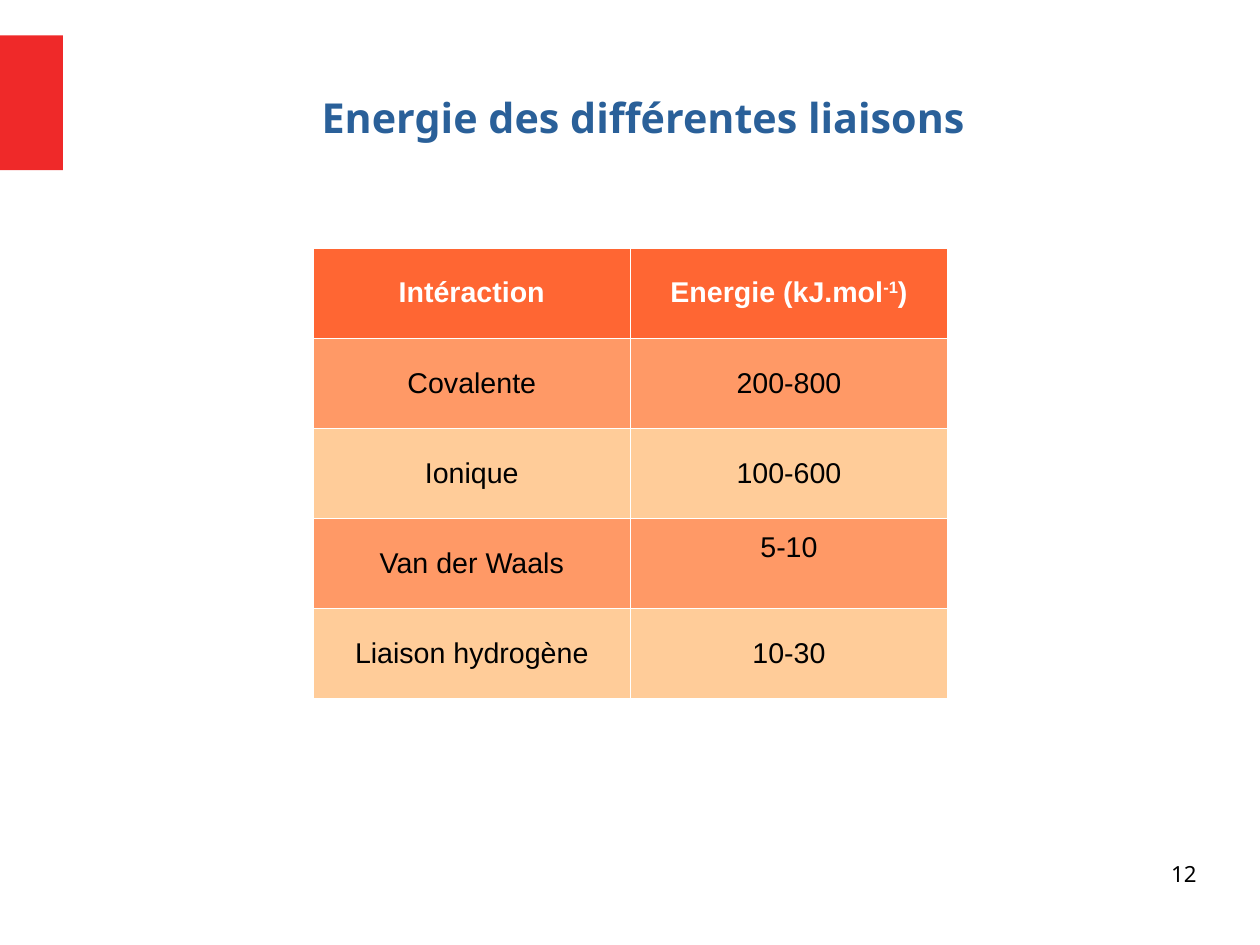
from dataclasses import dataclass

from lxml.etree import SubElement
from pptx import Presentation
from pptx.dml.color import RGBColor
from pptx.enum.shapes import MSO_SHAPE
from pptx.enum.text import MSO_ANCHOR, PP_ALIGN
from pptx.oxml.ns import qn
from pptx.slide import Slide
from pptx.table import _Cell as Cell
from pptx.text.text import Font, _Paragraph as Paragraph
from pptx.util import Inches, Pt

CM_PER_INCH = 2.54
PAGE_WIDTH = 28 / CM_PER_INCH
PAGE_HEIGHT = 21 / CM_PER_INCH
HEADER_FILL = "FF6633"
BAND_FILLS = ("FF9966", "FFCC99")
TABLE_WIDTH = 5.55
TABLE_HEIGHT = 3.94


@dataclass(frozen=True)
class Label:
    text: str
    left: float
    top: float
    width: float
    height: float
    size: int
    color: str
    align: PP_ALIGN
    anchor: MSO_ANCHOR = MSO_ANCHOR.TOP
    bold: bool = False


@dataclass(frozen=True)
class Bond:
    name: str
    energy: str
    lift: float = 0  # extra bottom margin under the energy, in inches


LABELS = (
    Label("Energie des différentes liaisons", 0.79, 0.33, 9.68, 1.38, 26,
          "2A6099", PP_ALIGN.CENTER, MSO_ANCHOR.MIDDLE, True),
    Label("12", 7.9, 7.53, 2.57, 0.57, 14, "000000", PP_ALIGN.RIGHT),
)
BONDS = (
    Bond("Covalente", "200-800"),
    Bond("Ionique", "100-600"),
    Bond("Van der Waals", "5-10", 0.27),
    Bond("Liaison hydrogène", "10-30"),
)


def rgb(color: str) -> RGBColor:
    return RGBColor.from_string(color)


def style_font(font: Font, name: str, size: int, color: str, bold: bool) -> None:
    font.name = name
    font.size = Pt(size)
    font.bold = bold
    font.color.rgb = rgb(color)


def add_label(page: Slide, label: Label) -> None:
    box = page.shapes.add_textbox(Inches(label.left), Inches(label.top),
                                  Inches(label.width), Inches(label.height))
    frame = box.text_frame
    frame.word_wrap = True
    frame.vertical_anchor = label.anchor
    frame.margin_left = frame.margin_right = 0
    frame.margin_top = frame.margin_bottom = 0
    frame.text = label.text
    para = frame.paragraphs[0]
    para.alignment = label.align
    style_font(para.runs[0].font, "Noto Sans", label.size, label.color, label.bold)


def add_accent(page: Slide) -> None:
    accent = page.shapes.add_shape(MSO_SHAPE.RECTANGLE, 0, Inches(0.31),
                                   Inches(0.55), Inches(1.18))
    accent.shadow.inherit = False
    accent.fill.solid()
    accent.fill.fore_color.rgb = rgb("EF2929")
    accent.line.fill.background()


def add_borders(cell: Cell) -> None:
    properties = cell._tc.get_or_add_tcPr()
    for position, side in enumerate(("lnL", "lnR", "lnT", "lnB")):
        line = SubElement(properties, qn(f"a:{side}"), w=str(Pt(0.06)))
        fill = SubElement(line, qn("a:solidFill"))
        SubElement(fill, qn("a:srgbClr"), val="FFFFFF")
        properties.insert(position, line)


def add_superscript(para: Paragraph, text: str, tail: str) -> None:
    raised = para.add_run()
    raised.text = text
    raised._r.get_or_add_rPr().set("baseline", "33000")
    para.add_run().text = tail


def fill_cell(cell: Cell, text: str, fill: str, header: bool) -> None:
    """Style a cell; a caret in the text raises all but its last character."""
    cell.fill.solid()
    cell.fill.fore_color.rgb = rgb(fill)
    add_borders(cell)
    cell.vertical_anchor = MSO_ANCHOR.MIDDLE
    base, caret, rest = text.partition("^")
    cell.text_frame.text = base
    para = cell.text_frame.paragraphs[0]
    para.alignment = PP_ALIGN.CENTER
    if caret:
        add_superscript(para, rest[:-1], rest[-1])
    for span in para.runs:
        style_font(span.font, "Arial", 18, "FFFFFF" if header else "000000", header)


def add_bond_table(page: Slide) -> None:
    rows = (Bond("Intéraction", "Energie (kJ.mol^-1)"), *BONDS)
    table = page.shapes.add_table(
        len(rows), 2, Inches(2.74), Inches(2.17),
        Inches(TABLE_WIDTH), Inches(TABLE_HEIGHT)).table
    for index, bond in enumerate(rows):
        header = index == 0
        fill = HEADER_FILL if header else BAND_FILLS[(index - 1) % 2]
        fill_cell(table.cell(index, 0), bond.name, fill, header)
        energy_cell = table.cell(index, 1)
        fill_cell(energy_cell, bond.energy, fill, header)
        energy_cell.margin_bottom = Inches(0.05 + bond.lift)


def main() -> None:
    deck = Presentation()
    deck.slide_width = Inches(PAGE_WIDTH)
    deck.slide_height = Inches(PAGE_HEIGHT)
    page = deck.slides.add_slide(deck.slide_layouts[6])
    add_accent(page)
    for label in LABELS:
        add_label(page, label)
    add_bond_table(page)
    deck.save("out.pptx")


if __name__ == "__main__":
    main()
